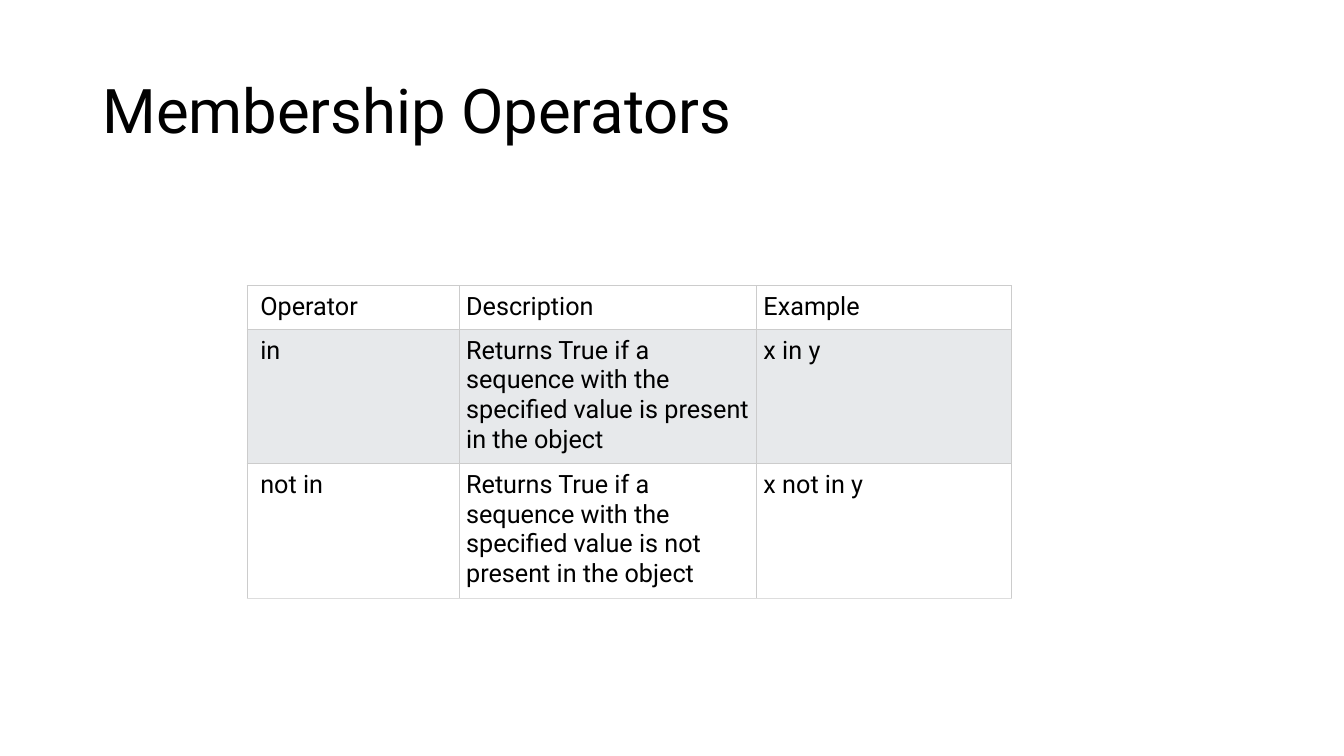
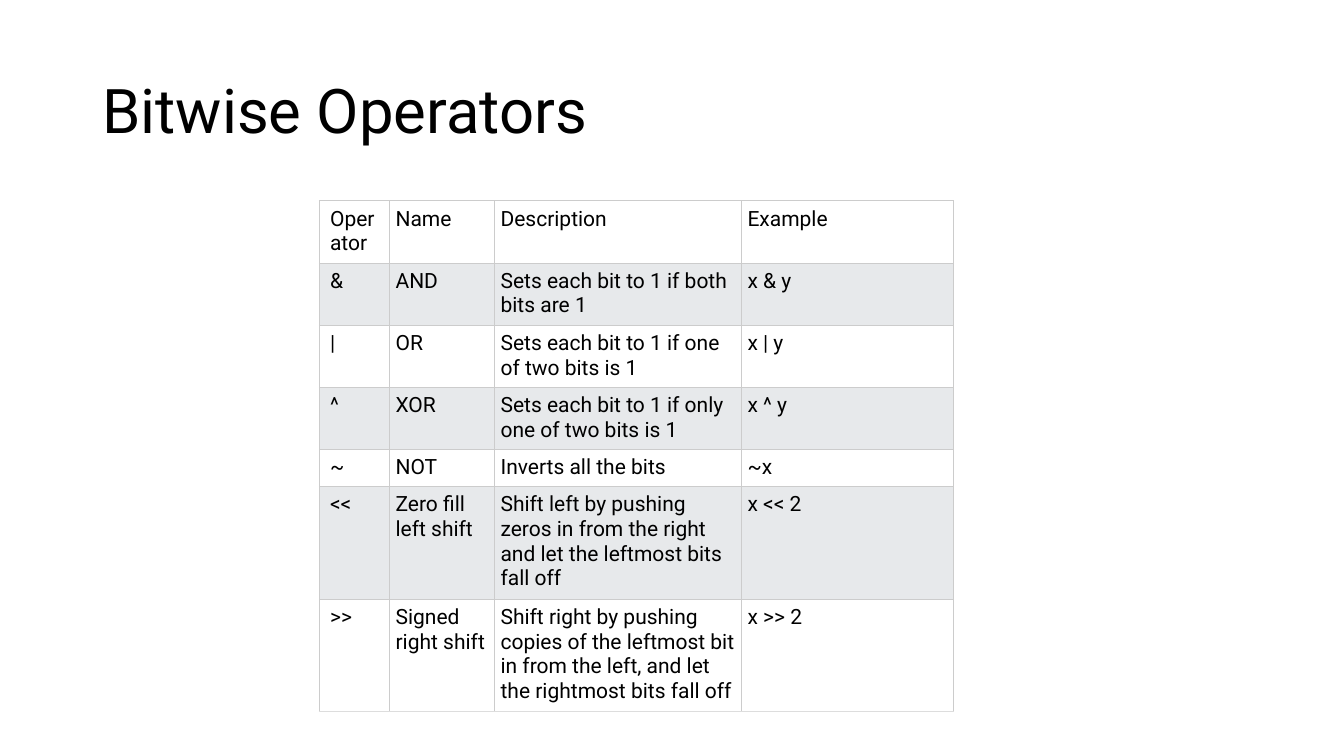
from lxml import etree
from pptx import Presentation
from pptx import util as u
from pptx.dml.color import RGBColor
from pptx.enum import text
from pptx.oxml.ns import qn

WIDTH, HEIGHT = u.Inches(13.33), u.Inches(7.5)
COL, ROW = WIDTH / 160, HEIGHT / 90
FONT = "Roboto"
BLACK, WHITE, BAND = "000000", "FFFFFF", "E7E9EB"
BORDER, BOTTOM_BORDER = "CCCCCC", "DDDDDD"
BORDER_WIDTH = u.Pt(0.6)

MEMBERSHIP = [
    ("Operator", "Description", "Example"),
    ("in", "Returns True if a sequence with the specified value is present in the object", "x in y"),
    ("not in", "Returns True if a sequence with the specified value is not present in the object", "x not in y"),
]
BITWISE = [
    ("Operator", "Name", "Description", "Example"),
    ("&", "AND", "Sets each bit to 1 if both bits are 1", "x & y"),
    ("|", "OR", "Sets each bit to 1 if one of two bits is 1", "x | y"),
    ("^", "XOR", "Sets each bit to 1 if only one of two bits is 1", "x ^ y"),
    ("~", "NOT", "Inverts all the bits", "~x"),
    ("<<", "Zero fill left shift",
     "Shift left by pushing zeros in from the right and let the leftmost bits fall off", "x << 2"),
    (">>", "Signed right shift",
     "Shift right by pushing copies of the leftmost bit in from the left, and let the rightmost bits fall off",
     "x >> 2"),
]


def cols(n):
    """Return the width of n grid columns."""
    return u.Emu(round(n * COL))


def rows(n):
    """Return the height of n grid rows."""
    return u.Emu(round(n * ROW))


def color(hex_string):
    """Turn a hex string into a colour."""
    return RGBColor.from_string(hex_string)


def write(tf, words, size, fill=BLACK, spacing=None):
    """Write one formatted paragraph into a text frame."""
    tf.word_wrap = True
    p = tf.paragraphs[0]
    p.line_spacing = spacing
    r = p.add_run()
    r.text = words
    r.font.name, r.font.size = FONT, u.Pt(size)
    r.font.color.rgb = color(fill)


def add_title(s, words):
    """Add the slide title."""
    sp = s.shapes.add_textbox(cols(11), rows(4.8), cols(138), rows(17.4))
    sp.text_frame.vertical_anchor = text.MSO_ANCHOR.MIDDLE
    write(sp.text_frame, words, 44, spacing=0.9)


def set_borders(cell, bottom):
    """Draw thin lines on the four sides of a cell."""
    tc_pr = cell._tc.get_or_add_tcPr()
    sides = {"lnL": BORDER, "lnR": BORDER, "lnT": BORDER, "lnB": bottom}
    for i, (side, line_color) in enumerate(sides.items()):
        ln = etree.Element(qn(f"a:{side}"), w=str(BORDER_WIDTH))
        fill = etree.SubElement(ln, qn("a:solidFill"))
        etree.SubElement(fill, qn("a:srgbClr"), val=line_color)
        tc_pr.insert(i, ln)


def add_operator_table(s, data, left, top, widths, heights, size, inset, first_inset):
    """Add a banded table whose first column has a wider left inset."""
    frame = s.shapes.add_table(len(data), len(widths), cols(left), rows(top),
                               cols(sum(widths)), rows(sum(heights)))
    table = frame.table
    table.first_row = table.horz_banding = False
    for column, width in zip(table.columns, widths):
        column.width = cols(width)
    for i, (record, height) in enumerate(zip(data, heights)):
        table.rows[i].height = rows(height)
        for j, words in enumerate(record):
            cell = table.cell(i, j)
            cell.margin_left = cols(inset if j else first_inset)
            cell.margin_right = cols(inset)
            cell.margin_top = cell.margin_bottom = rows(inset)
            cell.fill.solid()
            cell.fill.fore_color.rgb = color(BAND if i % 2 else WHITE)
            set_borders(cell, BOTTOM_BORDER if i == len(data) - 1 else BORDER)
            write(cell.text_frame, words, size)


def add_slide(prs, title, data, **layout):
    """Add a slide with a title and an operator table."""
    s = prs.slides.add_slide(prs.slide_layouts[6])
    add_title(s, title)
    add_operator_table(s, data, **layout)


def main():
    """Build and save the presentation."""
    prs = Presentation()
    prs.slide_width, prs.slide_height = WIDTH, HEIGHT
    add_slide(prs, "Membership Operators", MEMBERSHIP, left=29.4, top=34,
              widths=[25.3, 35.4, 30.3], heights=[5.1, 15.6, 15.6],
              size=18, inset=0.8, first_inset=1.6)
    add_slide(prs, "Bitwise Operators", BITWISE, left=38, top=23.9,
              widths=[8.4, 12.5, 29.4, 25.2], heights=[7.3] * 4 + [4.3, 13.1, 13.2],
              size=15, inset=0.7, first_inset=1.3)
    prs.save("out.pptx")


if __name__ == "__main__":
    main()
